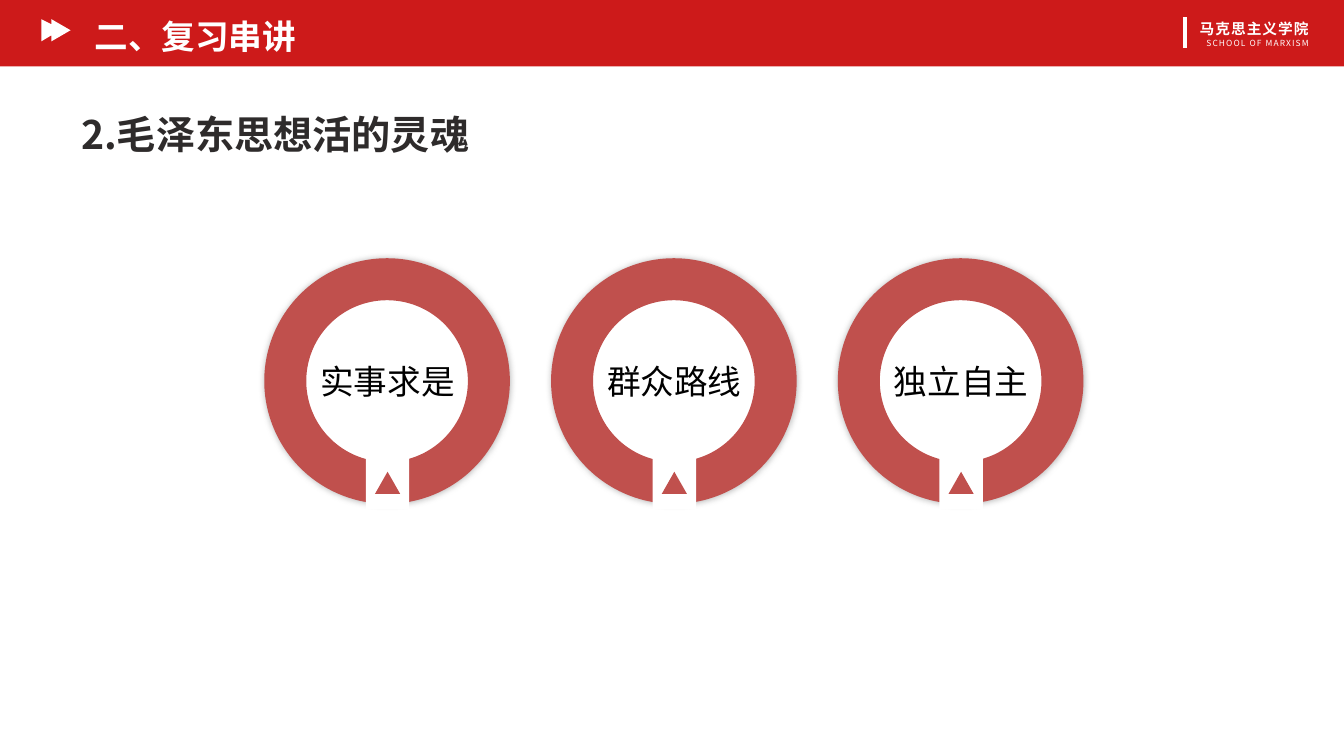
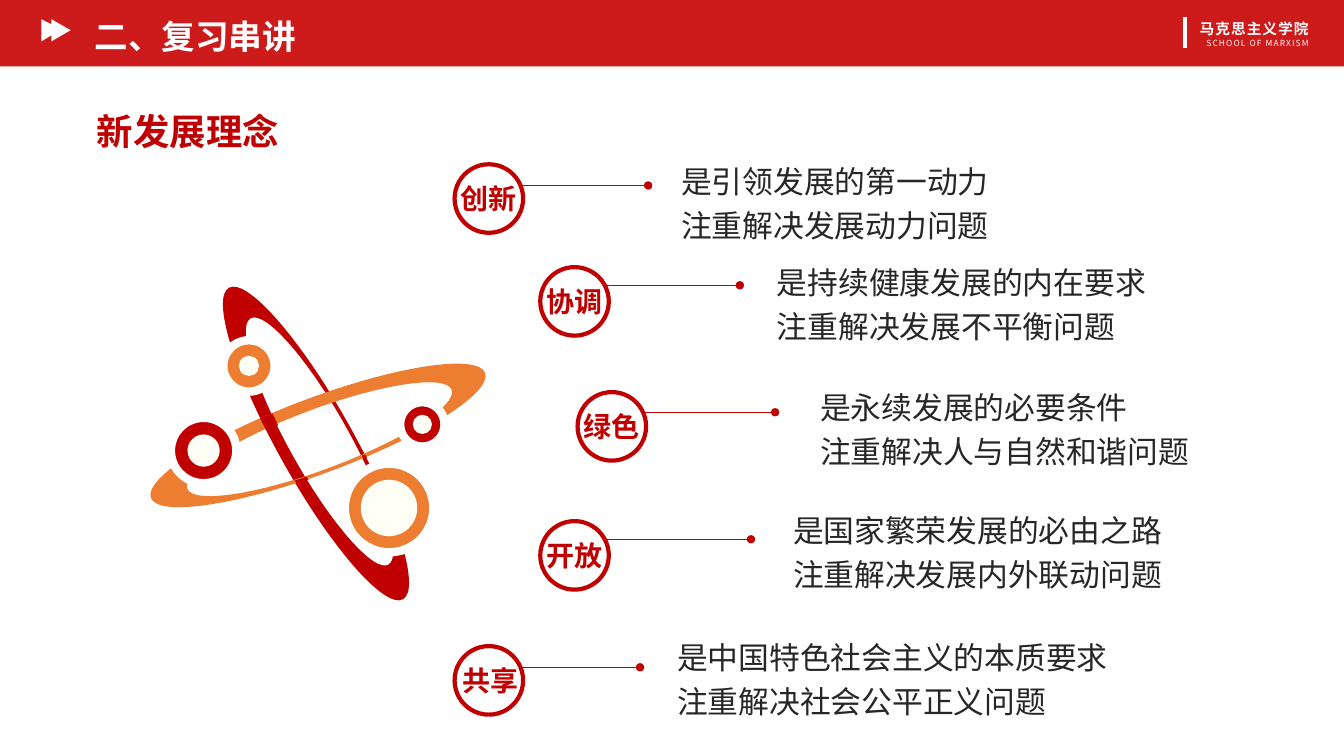
from dataclasses import dataclass

from lxml.etree import SubElement
from pptx import Presentation
from pptx.dml.color import RGBColor
from pptx.enum.shapes import MSO_CONNECTOR as Connector, MSO_SHAPE as Shape
from pptx.enum.text import MSO_ANCHOR as Anchor, MSO_AUTO_SIZE as AutoSize, PP_ALIGN as Align
from pptx.oxml.ns import qn
from pptx.util import Inches, Pt


@dataclass(frozen=True)
class Theme:
    band: str = "CD1A1A"
    red: str = "C00000"
    brick: str = "C0504D"
    orange: str = "ED7D31"
    cream: str = "FFFFF5"
    white: str = "FFFFFF"
    black: str = "000000"
    ink: str = "262626"
    heading: str = "2E2B2B"
    shadow: str = "808080"
    font: str = "Noto Sans CJK SC"
    latin: str = "Arial"
    heading_size: float = 28
    subheading_size: float = 26
    section_size: float = 24
    body_size: float = 22
    badge_size: float = 20
    school_size: float = 10.5
    school_latin_size: float = 6


THEME = Theme()
PAGE_WIDTH = 40 / 3


def color(value):
    return RGBColor.from_string(value)


def write(frame, text, size, ink, font=THEME.font, bold=False, align=Align.LEFT,
          anchor=Anchor.TOP, line_spacing=None, tracking=None, indent=None,
          margins=(0.1, 0.05)):
    """Fill a text frame, one paragraph a line; size and bold may be lists, one a line."""
    frame.word_wrap = True
    frame.auto_size = AutoSize.NONE
    frame.vertical_anchor = anchor
    frame.margin_left = frame.margin_right = Inches(margins[0])
    frame.margin_top = frame.margin_bottom = Inches(margins[1])
    lines = text.split("\n")
    sizes = size if isinstance(size, list) else [size] * len(lines)
    bolds = bold if isinstance(bold, list) else [bold] * len(lines)
    for index, line in enumerate(lines):
        para = frame.paragraphs[0] if index == 0 else frame.add_paragraph()
        para.alignment = align
        if line_spacing:
            para.line_spacing = line_spacing
        if indent:
            para._p.get_or_add_pPr().set("indent", str(Inches(indent)))
        span = para.add_run()
        span.text = line
        span.font.name = font
        span.font.size = Pt(sizes[index])
        span.font.bold = bolds[index]
        span.font.color.rgb = color(ink)
        properties = span._r.get_or_add_rPr()
        SubElement(properties, qn("a:ea")).set("typeface", THEME.font)
        if tracking:
            properties.set("spc", str(round(tracking * 100)))


def add_text(page, left, top, width, height, text, size, ink, **style):
    box = page.shapes.add_textbox(Inches(left), Inches(top), Inches(width), Inches(height))
    write(box.text_frame, text, size, ink, **style)


def paint(shape, fill, line=None, weight=0):
    shape.shadow.inherit = False
    shape.fill.solid()
    shape.fill.fore_color.rgb = color(fill)
    if line:
        shape.line.color.rgb = color(line)
        shape.line.width = Pt(weight)
    else:
        shape.line.fill.background()


def add_shape(page, kind, left, top, width, height, fill, line=None, weight=0):
    shape = page.shapes.add_shape(kind, Inches(left), Inches(top), Inches(width), Inches(height))
    paint(shape, fill, line, weight)
    return shape


def add_disc(page, center_x, center_y, diameter, fill, line=None, weight=0):
    add_shape(page, Shape.OVAL, center_x - diameter / 2, center_y - diameter / 2,
              diameter, diameter, fill, line, weight)


def add_outline(page, contours, fill):
    """Draw closed contours, given as lists of points in inches, as one shape."""
    first, *others = [[(Inches(x), Inches(y)) for x, y in points] for points in contours]
    builder = page.shapes.build_freeform(*first[0], scale=1.0)
    builder.add_line_segments(first[1:], close=True)
    for points in others:
        builder.move_to(*points[0])
        builder.add_line_segments(points[1:], close=True)
    shape = builder.convert_to_shape()
    paint(shape, fill)
    return shape


def bend(shape):
    """Turn each three straight segments of an outline into one cubic curve."""
    for outline in shape._element.iter(qn("a:path")):
        segments = list(outline.iterchildren(qn("a:lnTo")))
        for index in range(0, len(segments), 3):
            curve, *rest = segments[index:index + 3]
            curve.tag = qn("a:cubicBezTo")
            for segment in rest:
                curve.append(segment[0])
                outline.remove(segment)


def ellipse_points(x, y, radius_x, radius_y):
    """Start, control and end points of four cubic curves around a center."""
    k = 0.55
    units = [(0, -1), (k, -1), (1, -k), (1, 0), (1, k), (k, 1), (0, 1),
             (-k, 1), (-1, k), (-1, 0), (-1, -k), (-k, -1), (0, -1)]
    return [(x + radius_x * u, y + radius_y * v) for u, v in units]


def add_line(page, start, end, ink, weight, tail=None):
    line = page.shapes.add_connector(Connector.STRAIGHT, *map(Inches, start + end))
    line.line.color.rgb = color(ink)
    line.line.width = Pt(weight)
    if tail:
        SubElement(line.line._get_or_add_ln(), qn("a:tailEnd")).set("type", tail)
    SubElement(line._element.spPr, qn("a:effectLst"))


def add_glow(shape):
    """Give a shape a soft grey shadow on all sides."""
    effects = shape._element.spPr.find(qn("a:effectLst"))
    shadow = SubElement(effects, qn("a:outerShdw"), blurRad=str(Pt(5)), dist="0", dir="0")
    tint = SubElement(shadow, qn("a:srgbClr"), val=THEME.shadow)
    SubElement(tint, qn("a:alpha"), val="60000")


def draw_header(page, left, top, width, height):
    add_shape(page, Shape.RECTANGLE, left, top, width, height, THEME.band)
    add_text(page, left + 0.84, top - 0.01, 7.91, 0.57, "二、复习串讲", THEME.section_size,
             THEME.white, bold=True, line_spacing=1.3)
    arrows = [(0.41, 0.19), (0.51, 0.24), (0.51, 0.19), (0.7, 0.3),
              (0.51, 0.41), (0.51, 0.35), (0.41, 0.41)]
    add_outline(page, [[(left + x, top + y) for x, y in arrows]], THEME.white)
    right = left + width
    add_text(page, right - 2.54, top + 0.16, 2.28, 0.36, "马克思主义学院\nSCHOOL OF MARXISM",
             [THEME.school_size, THEME.school_latin_size], THEME.white,
             bold=[True, False], align=Align.RIGHT, tracking=0.8, margins=(0.09, 0.04))
    add_line(page, (right - 1.58, top + 0.17), (right - 1.58, top + 0.48), THEME.white, 3)


def add_page(deck, title, size, ink, left, top, width, height):
    page = deck.slides.add_slide(deck.slide_layouts[5])
    draw_header(page, 0, 0, PAGE_WIDTH, 0.66)
    box = page.shapes.title
    box.left, box.top, box.width, box.height = map(Inches, (left, top, width, height))
    write(box.text_frame, title, size, ink, bold=True, align=Align.CENTER, anchor=Anchor.MIDDLE)
    return page


def draw_ring(page, left, top, diameter, label):
    """Draw a labelled ring, opened at its foot around a small triangle."""
    middle, foot = left + diameter / 2, top + diameter
    add_glow(add_shape(page, Shape.OVAL, left, top, diameter, diameter,
                       THEME.white, THEME.brick, 30))
    gap = add_shape(page, Shape.RECTANGLE, middle - 0.26, foot - 0.22, 0.53, 0.43, THEME.white)
    gap.rotation = 90
    add_shape(page, Shape.ISOSCELES_TRIANGLE, middle - 0.12, foot - 0.11, 0.25, 0.22, THEME.brick)
    add_text(page, left + 0.25, top + 0.76, 1.78, 0.51, label, THEME.section_size,
             THEME.black, font=THEME.latin)


def draw_orbit(page, left, top, angle, fill):
    """Draw an upright ellipse with an off-center hole, then turn it."""
    width, height = 0.75, 3.54
    x, y = left + width / 2, top + height / 2
    outer = ellipse_points(x, y, width / 2, height / 2)
    hole = ellipse_points(x + 0.04, y, 0.3, 1.4)
    orbit = add_outline(page, [outer, hole[::-1]], fill)
    bend(orbit)
    orbit.rotation = angle


def draw_orbits(page, left, top):
    """Draw two crossed orbits that carry four planets."""
    draw_orbit(page, left + 1.26, top - 0.17, 330.8, THEME.red)
    draw_orbit(page, left + 1.28, top - 0.25, 69.5, THEME.orange)

    crossings = [
        [(1.54, 1.93), (1.56, 1.96), (1.45, 2.0), (1.42, 1.97)],
        [(1.2, 1.3), (1.26, 1.42), (1.14, 1.47), (1.08, 1.35)],
        [(2.12, 1.71), (2.14, 1.74), (2.11, 1.76), (2.09, 1.72)],
    ]
    for points in crossings:
        add_outline(page, [[(left + x, top + y) for x, y in points]], THEME.red)

    planets = [
        (0.97, 0.83, 0.51, 0.2, THEME.orange),
        (2.36, 2.24, 0.88, 0.56, THEME.orange),
        (2.69, 1.41, 0.44, 0.19, THEME.red),
        (0.52, 1.67, 0.65, 0.32, THEME.red),
    ]
    for x, y, diameter, _, fill in planets:
        add_disc(page, left + x, top + y, diameter, fill, THEME.white, 6)
    for x, y, _, core, _ in planets:
        add_disc(page, left + x, top + y, core, THEME.cream)


def draw_concept(page, left, top, label, label_x, lead, text_box, text):
    """Draw a badge at left, top; the other places are offsets from that corner."""
    start_x, y = left + lead[0], top + lead[1]
    add_line(page, (start_x, y), (start_x + 1.56, y), THEME.red, 0.5, tail="oval")
    text_x, text_y, width = text_box
    add_text(page, left + text_x, top + text_y, width, 0.95, text, THEME.body_size,
             THEME.ink, align=Align.JUSTIFY, line_spacing=1.2, indent=0.01)
    add_shape(page, Shape.OVAL, left, top, 0.68, 0.68, THEME.white, THEME.red, 3)
    add_text(page, left + label_x, top + 0.12, 0.85, 0.44, label, THEME.badge_size,
             THEME.red, bold=True)


def build_soul_page(deck):
    page = add_page(deck, "2.毛泽东思想活的灵魂", THEME.heading_size, THEME.heading,
                    0.5, 1.04, 4.46, 0.57)
    for index, label in enumerate(["实事求是", "群众路线", "独立自主"]):
        draw_ring(page, 2.83 + 5.69 / 2 * index, 2.77, 2.02, label)


def build_concepts_page(deck):
    page = add_page(deck, "新发展理念", THEME.subheading_size, THEME.red,
                    0.5, 1.03, 2.73, 0.54)
    concepts = [
        (4.51, 1.63, "创新", -0.04, (0.36, 0.21), (2.14, -0.14, 4.2),
         "是引领发展的第一动力\n注重解决发展动力问题"),
        (5.36, 2.65, "协调", -0.04, (0.42, 0.18), (2.24, -0.16, 4.67),
         "是持续健康发展的内在要求\n注重解决发展不平衡问题"),
        (5.73, 3.89, "绿色", -0.04, (0.4, 0.2), (2.3, -0.16, 4.57),
         "是永续发展的必要条件\n注重解决人与自然和谐问题"),
        (5.36, 5.17, "开放", -0.04, (0.53, 0.18), (2.4, -0.22, 4.67),
         "是国家繁荣发展的必由之路\n注重解决发展内外联动问题"),
        (4.51, 6.41, "共享", -0.02, (0.28, 0.21), (2.1, -0.2, 5.1),
         "是中国特色社会主义的本质要求\n注重解决社会公平正义问题"),
    ]
    for concept in concepts:
        draw_concept(page, *concept)
    draw_orbits(page, 1.5, 2.8)


def main():
    deck = Presentation()
    deck.slide_width, deck.slide_height = Inches(PAGE_WIDTH), Inches(7.5)
    build_soul_page(deck)
    build_concepts_page(deck)
    deck.save("out.pptx")


if __name__ == "__main__":
    main()
